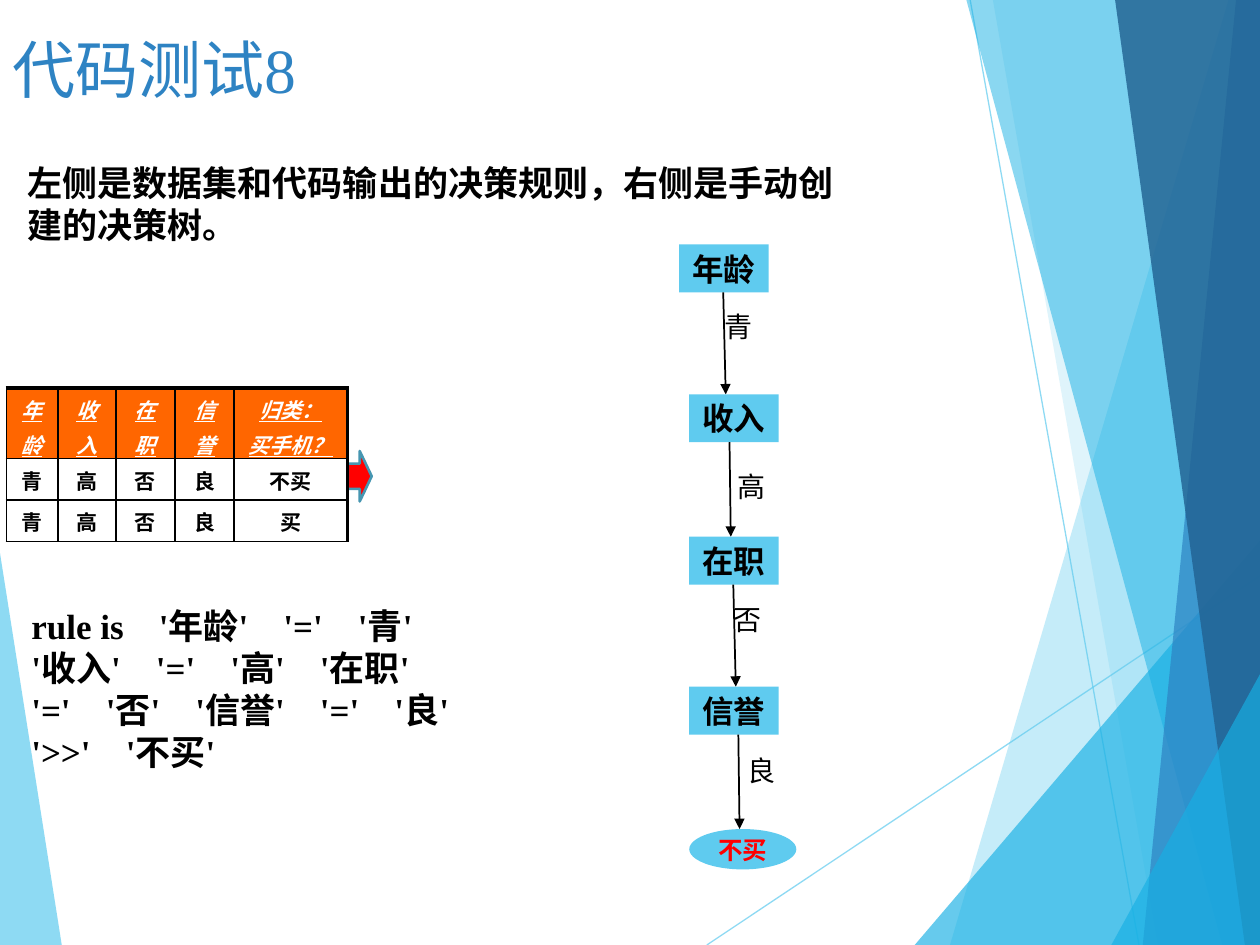
from collections import namedtuple
from lxml import etree
from pptx import Presentation
from pptx.dml.color import RGBColor
from pptx.enum.shapes import MSO_CONNECTOR, MSO_SHAPE
from pptx.enum.text import MSO_ANCHOR, MSO_AUTO_SIZE, PP_ALIGN
from pptx.oxml.ns import qn
from pptx.util import Inches, Pt

RECTANGLE, ELLIPSE, ARROW = MSO_SHAPE.RECTANGLE, MSO_SHAPE.OVAL, MSO_SHAPE.RIGHT_ARROW
STRAIGHT = MSO_CONNECTOR.STRAIGHT
LEFT, CENTER = PP_ALIGN.LEFT, PP_ALIGN.CENTER
TOP, MIDDLE = MSO_ANCHOR.TOP, MSO_ANCHOR.MIDDLE
GROW = MSO_AUTO_SIZE.SHAPE_TO_FIT_TEXT

COLUMNS, ROWS = 100, 75
UNIT = Inches(10) / COLUMNS
SERIF, NODE_FONT, CELL_FONT = "Times New Roman", "Cabin", "Arial"
BLACK, WHITE, RED, ORANGE = "000000", "FFFFFF", "FF0000", "FF6600"
SKY, AZURE, BLUE, NAVY, TEAL = "5FCBEF", "17B0E4", "2E83C3", "226292", "4696B1"

Box = namedtuple("Box", "left top width height")
Level = namedtuple("Level", "name left top arrow_start arrow_end answer answer_left answer_top")

SHARDS = [
    (SKY, 70, [(0, 43.9), (4.9, 75), (0, 75)]),
    (SKY, 36, [(97.5, 0), (75.4, 75), (100, 75), (100, 0)]),
    (SKY, 20, [(78.8, 0), (91.9, 75), (100, 75), (100, 0)]),
    (AZURE, 66, [(72.6, 75), (100, 42.9), (100, 75)]),
    (AZURE, 50, [(76.7, 0), (97, 75), (100, 75), (100, 0)]),
    (BLUE, 70, [(98.1, 0), (90.7, 75), (100, 75), (100, 0)]),
    (NAVY, 82, [(88.5, 0), (98.8, 75), (100, 75), (100, 0)]),
    (AZURE, 66, [(88.2, 75), (100, 53.5), (100, 75)]),
]
RAYS = [(56.1, 75, 100, 45.7), (77, 0, 90.4, 75)]

RULE = ["rule is", "'年龄'", "'='", "'青'", "'收入'", "'='", "'高'", "'在职'", "'='", "'否'",
        "'信誉'", "'='", "'良'", "'>>'", "'不买'"]
DATA = [["年\n龄", "收\n入", "在\n职", "信\n誉", "归类：\n买手机？"],
        ["青", "高", "否", "良", "不买"],
        ["青", "高", "否", "良", "买"]]
COLUMN_WIDTHS = [4.1, 4.6, 4.7, 4.7, 9]
ROW_HEIGHTS = [5.6, 3.3, 3.3]

LEVELS = [
    Level("年龄", 0, 0, 3.5, 3.7, "青", 1.6, 4.7),
    Level("收入", 0.8, 11.9, 4, 4.1, "高", 2.6, 17.4),
    Level("在职", 0.8, 23.2, 4.3, 4.5, "否", 2.3, 27.9),
    Level("信誉", 0.8, 35.1, 4.7, 4.8, "良", 3.4, 39.9),
]
NODE_WIDTH, NODE_HEIGHT = 7.1, 3.8
ANSWER_WIDTH, ANSWER_HEIGHT = 6.3, 3.7
LEAF = Box(0.8, 46.4, 8.5, 3.2)


def grid(*values):
    return [round(value * UNIT) for value in values]


def color(value):
    return RGBColor.from_string(value)


def set_opacity(shape, percent):
    for element in shape._element.spPr.iter(qn("a:srgbClr")):
        etree.SubElement(element, qn("a:alpha")).set("val", str(percent * 1000))


def style_font(font, size, name, tint, bold=False):
    font.size, font.name, font.bold = Pt(size), name, bold
    font.color.rgb = color(tint)


def add_line(slide, ends, tint, width):
    line = slide.shapes.add_connector(STRAIGHT, *grid(*ends))
    line.line.color.rgb = color(tint)
    line.line.width = Pt(width)
    etree.SubElement(line._element.spPr, qn("a:effectLst"))
    return line


def add_text(slide, box, text, size, tint, bold=False, align=LEFT, grow=True):
    shape = slide.shapes.add_textbox(*grid(*box))
    frame = shape.text_frame
    frame.word_wrap = True
    if grow:
        frame.auto_size = GROW
    frame.text = text
    paragraph = frame.paragraphs[0]
    paragraph.alignment = align
    for run in paragraph.runs:
        style_font(run.font, size, SERIF, tint, bold)
    return paragraph


def add_filled(slide, kind, box, fill):
    shape = slide.shapes.add_shape(kind, *grid(*box))
    shape.shadow.inherit = False
    shape.fill.solid()
    shape.fill.fore_color.rgb = color(fill)
    shape.line.fill.background()
    return shape


def add_node(slide, kind, box, text, size, tint):
    frame = add_filled(slide, kind, box, SKY).text_frame
    frame.word_wrap = False
    frame.vertical_anchor = MIDDLE
    frame.text = text
    frame.paragraphs[0].alignment = CENTER
    style_font(frame.paragraphs[0].runs[0].font, size, NODE_FONT, tint, True)


def draw_backdrop(slide, box):
    def at(x, y):
        return grid(box.left + x * box.width / COLUMNS, box.top + y * box.height / ROWS)

    for x1, y1, x2, y2 in RAYS:
        ray = add_line(slide, (box.left + x1, box.top + y1, box.left + x2, box.top + y2), SKY, 0.75)
        set_opacity(ray, 70)
    for tint, opacity, points in SHARDS:
        corners = [at(*point) for point in points]
        builder = slide.shapes.build_freeform(*corners[0])
        builder.add_line_segments(corners[1:])
        shard = builder.convert_to_shape()
        shard.shadow.inherit = False
        shard.fill.solid()
        shard.fill.fore_color.rgb = color(tint)
        shard.line.fill.background()
        set_opacity(shard, opacity)


def draw_rule(slide, box):
    paragraph = add_text(slide, box, RULE[0], 20, BLACK, True)
    for token in RULE[1:]:
        for text, spacing in ((" ", 1500), (token, 0)):
            run = paragraph.add_run()
            run.text = text
            style_font(run.font, 20, SERIF, BLACK, True)
            if spacing:
                run.font._element.set("spc", str(spacing))


def set_borders(cell, widths):
    properties = cell._tc.get_or_add_tcPr()
    for index, (side, width) in enumerate(zip("LRTB", widths)):
        border = etree.Element(qn("a:ln" + side), w=str(Pt(width)))
        fill = etree.SubElement(border, qn("a:solidFill"))
        etree.SubElement(fill, qn("a:srgbClr"), val=BLACK)
        properties.insert(index, border)


def draw_table(slide, box):
    table = slide.shapes.add_table(len(DATA), len(DATA[0]), *grid(*box)).table
    table.first_row = table.horz_banding = False
    for column, width in zip(table.columns, grid(*COLUMN_WIDTHS)):
        column.width = width
    for row, height in zip(table.rows, grid(*ROW_HEIGHTS)):
        row.height = height
    for i, words in enumerate(DATA):
        header = i == 0
        for j, text in enumerate(words):
            cell = table.cell(i, j)
            cell.margin_top, cell.margin_bottom = grid(0.5, 0)
            cell.vertical_anchor = TOP
            if header:
                cell.fill.solid()
                cell.fill.fore_color.rgb = color(ORANGE)
            else:
                cell.fill.background()
            set_borders(cell, (1, 2.25 if j == len(words) - 1 else 1, 2.25 if header else 1, 1))
            cell.text_frame.text = text
            for k, paragraph in enumerate(cell.text_frame.paragraphs):
                paragraph.alignment = CENTER
                if k:
                    paragraph.space_before = Pt(2.4)
                font = paragraph.runs[0].font
                style_font(font, 12, SERIF if header else CELL_FONT, WHITE if header else BLACK, True)
                font.italic = font.underline = header


def draw_tree(slide, box):
    def inside(left, top, width, height):
        return Box(box.left + left, box.top + top, width, height)

    next_tops = [level.top for level in LEVELS[1:]] + [LEAF.top]
    for level, next_top in zip(LEVELS, next_tops):
        add_node(slide, RECTANGLE, inside(level.left, level.top, NODE_WIDTH, NODE_HEIGHT),
                 level.name, 18, BLACK)
        ends = (box.left + level.arrow_start, box.top + level.top + NODE_HEIGHT,
                box.left + level.arrow_end, box.top + next_top)
        arrow = add_line(slide, ends, BLACK, 1)
        etree.SubElement(arrow.line._get_or_add_ln(), qn("a:tailEnd"), type="triangle")
        add_text(slide, inside(level.answer_left, level.answer_top, ANSWER_WIDTH, ANSWER_HEIGHT),
                 level.answer, 16, BLACK, align=CENTER)
    add_node(slide, ELLIPSE, inside(*LEAF), "不买", 14, RED)


def main():
    presentation = Presentation()
    presentation.slide_width, presentation.slide_height = grid(COLUMNS, ROWS)
    slide = presentation.slides.add_slide(presentation.slide_layouts[6])
    draw_backdrop(slide, Box(0, 0, COLUMNS, ROWS))
    pointer = add_filled(slide, ARROW, Box(27.6, 35.8, 1.9, 4), RED)
    pointer.line.color.rgb = color(TEAL)
    pointer.line.width = Pt(1.5)
    add_text(slide, Box(0, 1.9, 86, 5.3), "代码测试8", 36, BLUE, grow=False)
    add_text(slide, Box(1.2, 12.3, 66.7, 7.7),
             "左侧是数据集和代码输出的决策规则，右侧是手动创建的决策树。", 20, BLACK, True)
    draw_rule(slide, Box(1.5, 47.5, 35.8, 14.5))
    draw_table(slide, Box(0.5, 30.8, sum(COLUMN_WIDTHS), sum(ROW_HEIGHTS)))
    draw_tree(slide, Box(53.9, 19.4, 9.7, 49.6))
    presentation.save("out.pptx")


if __name__ == "__main__":
    main()
